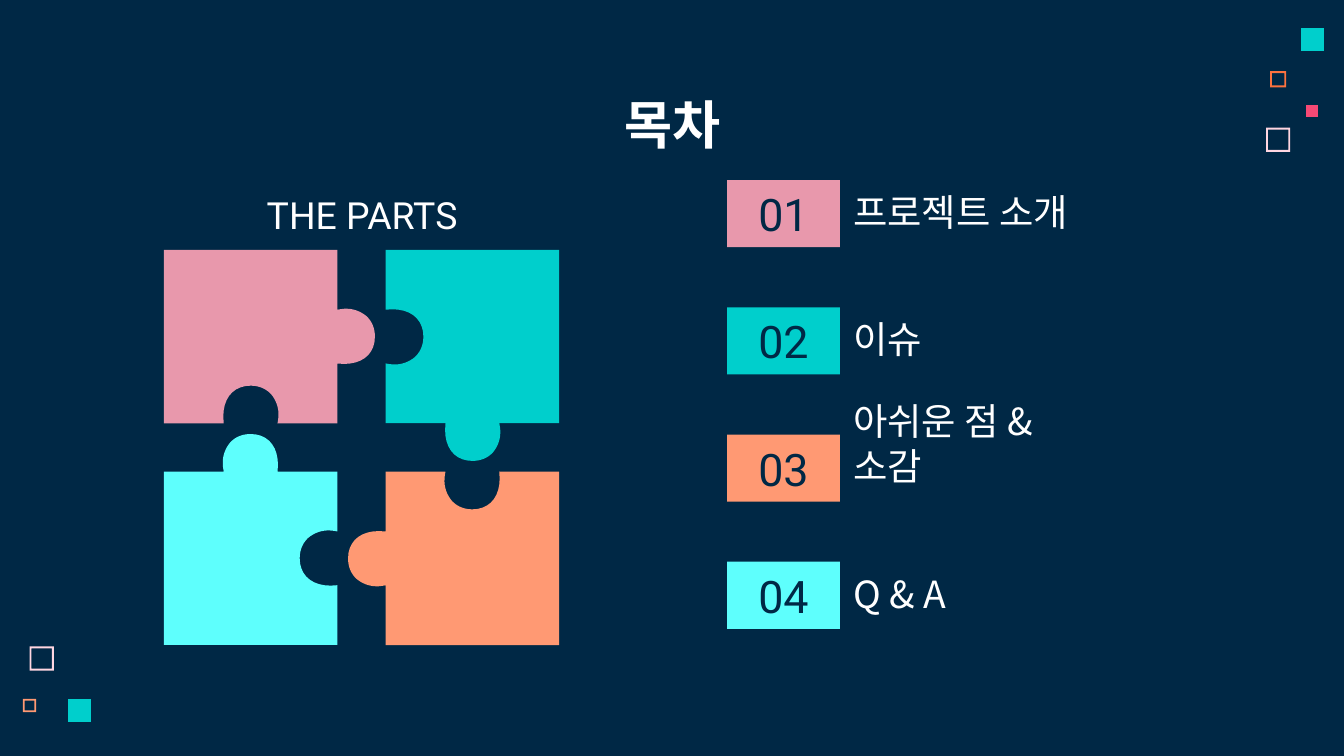
from pptx import Presentation
from pptx.dml.color import RGBColor
from pptx.enum.shapes import MSO_SHAPE
from pptx.enum.text import MSO_ANCHOR, PP_ALIGN
from pptx.oxml.ns import qn
from pptx.util import Inches, Pt

NAVY = RGBColor(0x00, 0x28, 0x45)
WHITE = RGBColor(0xFF, 0xFF, 0xFF)
ROSE = RGBColor(0xE8, 0x98, 0xAC)
TEAL = RGBColor(0x00, 0xCF, 0xCC)
CORAL = RGBColor(0xFF, 0x99, 0x73)
CYAN = RGBColor(0x5E, 0xFF, 0xFD)
BLUSH = RGBColor(0xFF, 0xD6, 0xE1)
RUST = RGBColor(0xFC, 0x72, 0x3F)
PINK = RGBColor(0xF6, 0x49, 0x75)

HANGUL, LATIN = "Noto Sans CJK KR", "Roboto"
WIDE = 10
HIGH = WIDE * 9 / 16

TITLE = "목차"
HEAD = "THE PARTS"
ITEMS = [
    ("프로젝트 소개", ROSE),
    ("이슈", TEAL),
    ("아쉬운 점 & 소감", CORAL),
    ("Q & A", CYAN),
]
TOP, LAST, LEFT = 1.34, 4.18, 5.41
TAG, LABEL, TALL = 0.84, 2.23, 0.5

# (column, row, colour, joints on top, right, bottom, left)
PIECES = [
    (0, 0, ROSE, (0, 1, -1, 0)),
    (1, 1, CORAL, (-1, 0, 0, 1)),
    (1, 0, TEAL, (0, 0, 1, -1)),
    (0, 1, CYAN, (1, -1, 0, 0)),
]
GRID_X, GRID_Y, SIDE, PITCH = 1.22, 1.86, 1.29, 1.65
TURNS = [(1, 0), (0, 1), (-1, 0), (0, -1)]
KNOB = [
    ((-0.2, 0), (-0.22, 0.09), (-0.2, 0.16), (-0.15, 0.22)),
    ((-0.15, 0.22), (-0.11, 0.26), (-0.06, 0.28), (0, 0.28)),
    ((0, 0.28), (0.14, 0.28), (0.22, 0.17), (0.2, 0)),
]
STEPS = 10

# (left, top, size, colour, hollow)
CONFETTI = [
    (9.42, 0.95, 0.18, BLUSH, True),
    (9.45, 0.53, 0.12, RUST, True),
    (9.68, 0.21, 0.17, TEAL, False),
    (0.17, 5.2, 0.1, CORAL, True),
    (9.72, 0.78, 0.09, PINK, False),
    (0.22, 4.81, 0.18, BLUSH, True),
    (0.51, 5.2, 0.17, TEAL, False),
]
RIM = 1 / 72


def paint(shape, fill):
    shape.shadow.inherit = False
    shape.fill.solid()
    shape.fill.fore_color.rgb = fill
    shape.line.fill.background()


def write(slide, text, x, y, w, h, font=HANGUL, size=20, color=WHITE, bold=False,
          align=PP_ALIGN.LEFT, anchor=MSO_ANCHOR.BOTTOM, fill=None, right=0.1):
    place = Inches(x), Inches(y), Inches(w), Inches(h)
    if fill is None:
        shape = slide.shapes.add_textbox(*place)
    else:
        shape = slide.shapes.add_shape(MSO_SHAPE.RECTANGLE, *place)
        paint(shape, fill)
    frame = shape.text_frame
    frame.word_wrap = True
    frame.vertical_anchor = anchor
    frame.margin_left = frame.margin_top = frame.margin_bottom = Inches(0.1)
    frame.margin_right = Inches(right)
    para = frame.paragraphs[0]
    para.alignment = align
    run = para.add_run()
    run.text = text
    run.font.name, run.font.size, run.font.bold = font, Pt(size), bold
    run.font.color.rgb = color
    east = run.font._element.makeelement(qn("a:ea"), {"typeface": font})
    run.font._element.append(east)


def curve(points, t):
    weights = ((1 - t) ** 3, 3 * t * (1 - t) ** 2, 3 * t * t * (1 - t), t ** 3)
    return [sum(w * p[axis] for w, p in zip(weights, points)) for axis in (0, 1)]


def outline(x, y, side, joints=(0, 0, 0, 0)):
    dots = []
    for (dx, dy), joint in zip(TURNS, joints):
        dots.append((x, y))
        if joint:
            for part in KNOB:
                for step in range(STEPS + 1):
                    along, out = curve(part, step / STEPS)
                    along, out = along + side / 2, out * joint
                    dots.append((x + dx * along + dy * out, y + dy * along - dx * out))
        x, y = x + dx * side, y + dy * side
    return [(Inches(a), Inches(b)) for a, b in dots]


def draw(slide, color, *rings):
    pen = slide.shapes.build_freeform(*rings[0][0])
    for ring in rings:
        pen.move_to(*ring[0])
        pen.add_line_segments(ring[1:], close=True)
    paint(pen.convert_to_shape(), color)


def main():
    deck = Presentation()
    deck.slide_width, deck.slide_height = Inches(WIDE), Inches(HIGH)
    slide = deck.slides.add_slide(deck.slide_layouts[6])
    slide.background.fill.solid()
    slide.background.fill.fore_color.rgb = NAVY

    for x, y, size, color, hollow in CONFETTI:
        rings = [outline(x, y, size)]
        if hollow:
            rings.append(outline(x + RIM, y + RIM, size - 2 * RIM)[::-1])
        draw(slide, color, *rings)

    write(slide, TITLE, 0.79, 0.59, 8.43, 0.63, size=28, bold=True,
          align=PP_ALIGN.CENTER, anchor=MSO_ANCHOR.TOP)

    gap = (LAST - TOP) / (len(ITEMS) - 1)
    for row, (label, color) in enumerate(ITEMS):
        y = TOP + row * gap
        write(slide, f"{row + 1:02}", LEFT, y, TAG, TALL, font=LATIN, size=24, color=NAVY,
              align=PP_ALIGN.CENTER, anchor=MSO_ANCHOR.MIDDLE, fill=color)
        write(slide, label, LEFT + TAG, y, LABEL, TALL, right=0.3)

    write(slide, HEAD, 1.58, GRID_Y - TALL, LABEL, TALL, font=LATIN, align=PP_ALIGN.CENTER)

    for col, row, color, joints in PIECES:
        draw(slide, color, outline(GRID_X + col * PITCH, GRID_Y + row * PITCH, SIDE, joints))

    deck.save("out.pptx")


if __name__ == "__main__":
    main()
